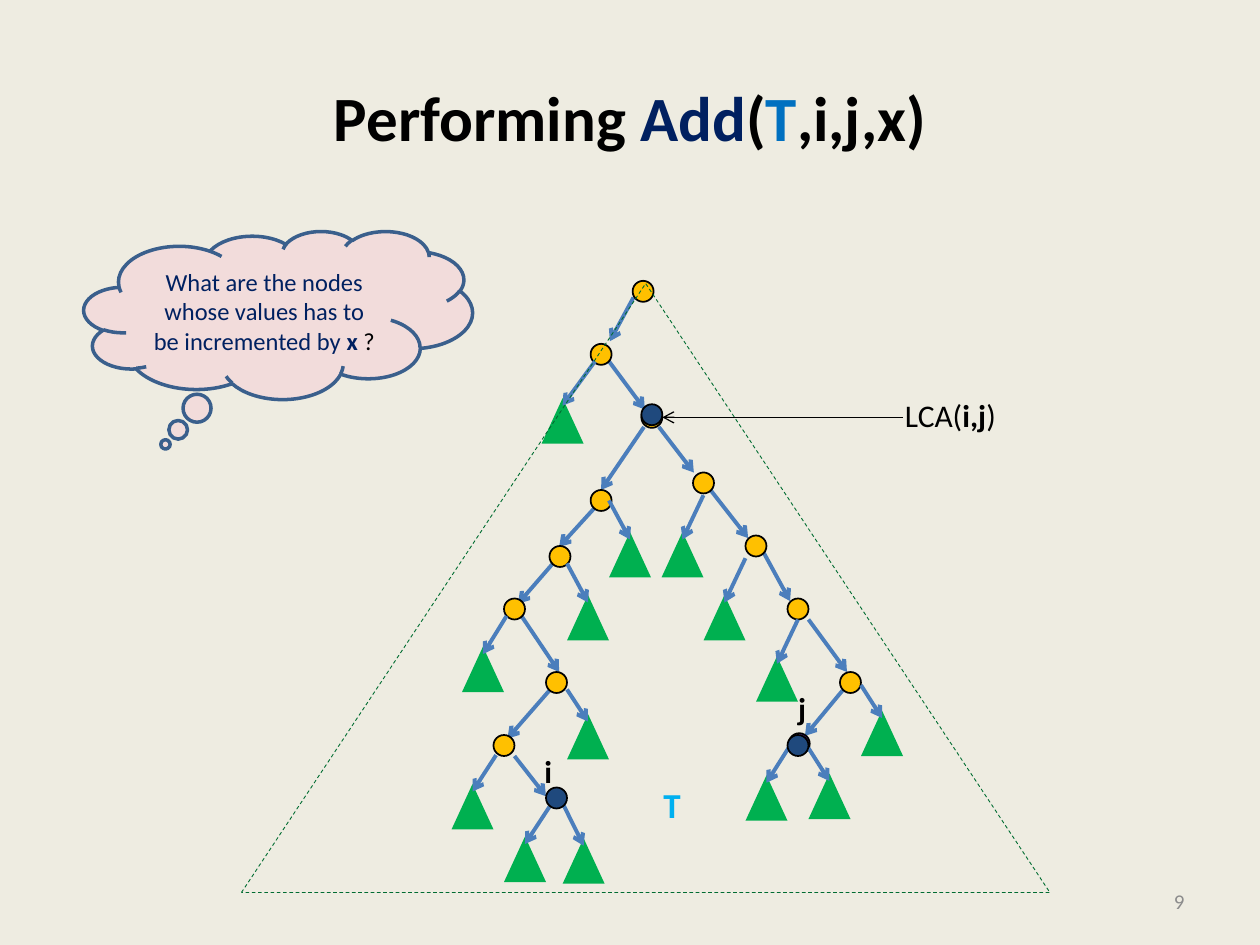
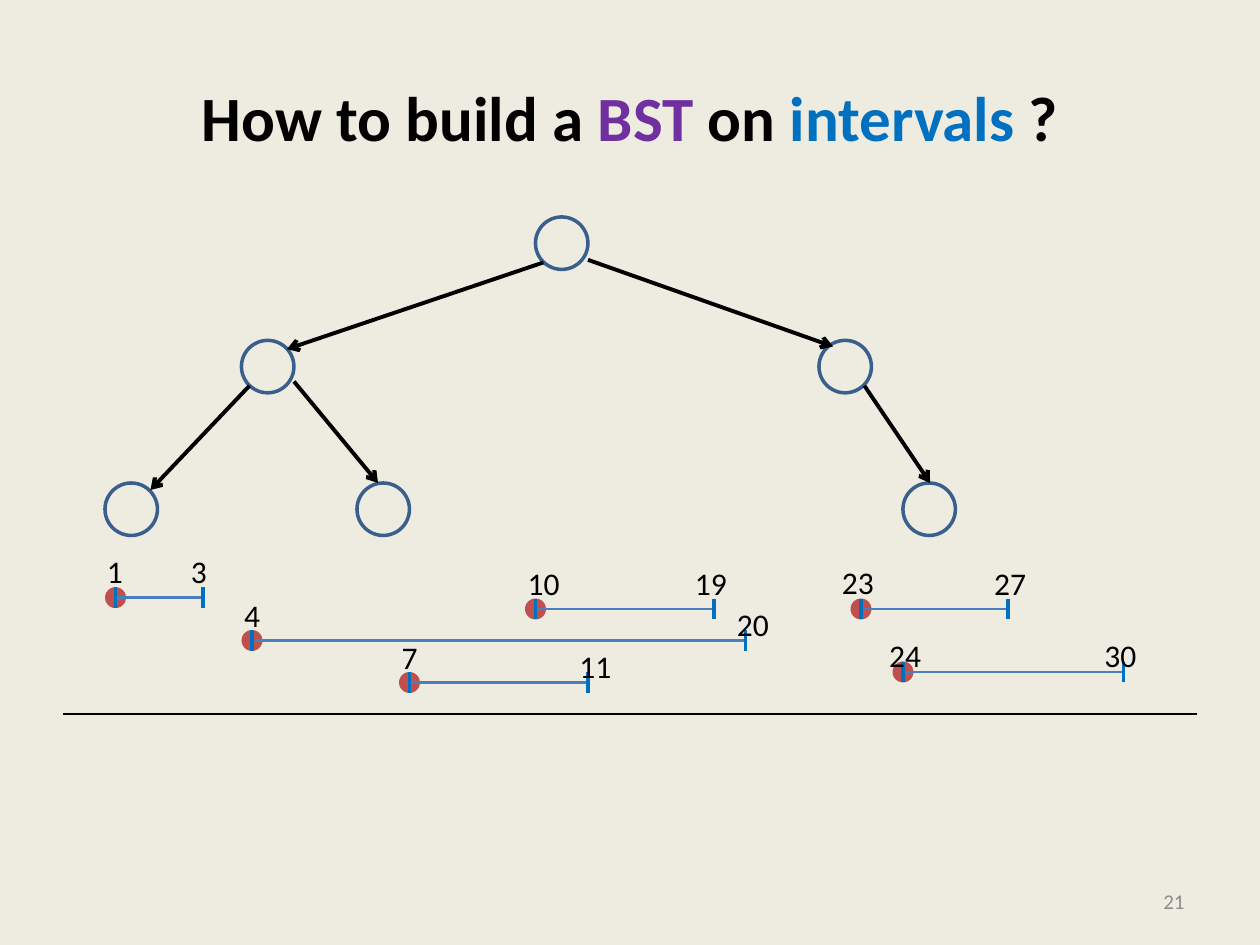
from lxml import etree
from pptx import Presentation
from pptx.dml.color import RGBColor
from pptx.enum.dml import MSO_LINE
from pptx.enum.shapes import MSO_CONNECTOR, MSO_SHAPE as Kind
from pptx.enum.text import MSO_ANCHOR as Anchor, PP_ALIGN as Align
from pptx.oxml.ns import qn
from pptx.util import Pt

COLORS = {
    "paper": "EEECE1", "black": "000000", "navy": "002060", "blue": "0070C0",
    "sky": "00B0F0", "purple": "7030A0", "gray": "8C8C8C", "steel": "4B7EBC",
    "outline": "3A5F8C", "amber": "FFC000", "green": "00B050",
    "forest": "006C31", "marked": "1F497D", "blush": "F2DCDB", "red": "C0504D",
}
FONT = "Calibri"
TITLE_ONLY = 5


def rgb(name):
    return RGBColor.from_string(COLORS[name])


class Deck:
    def __init__(self):
        self.prs = Presentation()
        self.prs.slide_width, self.prs.slide_height = Pt(720), Pt(540)
        backdrop = self.prs.slide_master.background.fill
        backdrop.solid()
        backdrop.fore_color.rgb = rgb("paper")
        self.slide = None

    def set_words(self, frame, parts, size, align=Align.LEFT, anchor=Anchor.TOP):
        """Fill a frame with one paragraph of (text, colour, bold) parts."""
        frame.vertical_anchor = anchor
        line = frame.paragraphs[0]
        line.alignment = align
        for words, color, bold in parts:
            run = line.add_run()
            run.text = words
            run.font.name, run.font.size, run.font.bold = FONT, Pt(size), bold
            run.font.color.rgb = rgb(color)

    def new_slide(self, number, title):
        self.slide = self.prs.slides.add_slide(self.prs.slide_layouts[TITLE_ONLY])
        heading = self.slide.shapes.title
        heading.left, heading.top = Pt(36), Pt(21.5)
        heading.width, heading.height = Pt(648), Pt(90)
        self.set_words(heading.text_frame, [(words, color, True) for words, color in title],
                       36, Align.CENTER, Anchor.MIDDLE)
        self.label(516, 500.5, 168, 28.75, [(number, "gray", False)], 12,
                   Align.RIGHT, Anchor.MIDDLE)

    def label(self, left, top, width, height, parts, size=18,
              align=Align.LEFT, anchor=Anchor.TOP):
        box = self.slide.shapes.add_textbox(Pt(left), Pt(top), Pt(width), Pt(height))
        box.text_frame.word_wrap = align != Align.LEFT
        self.set_words(box.text_frame, parts, size, align, anchor)

    def shape(self, kind, left, top, width, height, fill=None, line=None, weight=1):
        shape = self.slide.shapes.add_shape(kind, Pt(left), Pt(top), Pt(width), Pt(height))
        shape.shadow.inherit = False
        if fill:
            shape.fill.solid()
            shape.fill.fore_color.rgb = rgb(fill)
        else:
            shape.fill.background()
        if line:
            shape.line.color.rgb = rgb(line)
            shape.line.width = Pt(weight)
        else:
            shape.line.fill.background()
        return shape

    def circle(self, x, y, radius, fill, line=None, weight=1):
        self.shape(Kind.OVAL, x - radius, y - radius, 2 * radius, 2 * radius,
                   fill, line, weight)

    def line(self, x1, y1, x2, y2, color, weight=2.25, arrow=False):
        link = self.slide.shapes.add_connector(
            MSO_CONNECTOR.STRAIGHT, Pt(x1), Pt(y1), Pt(x2), Pt(y2))
        link.line.color.rgb = rgb(color)
        link.line.width = Pt(weight)
        properties = link._element.spPr
        if arrow:
            etree.SubElement(properties.get_or_add_ln(), qn("a:tailEnd"), type="arrow")
        etree.SubElement(properties, qn("a:effectLst"))

    def subtree(self, x, y, apex_x, apex_y):
        """Green triangle hanging from an arrow that starts at x, y."""
        self.shape(Kind.ISOSCELES_TRIANGLE, apex_x - 12, apex_y, 24, 26, "green")
        self.line(x, y, apex_x, apex_y + 4.3, "steel", arrow=True)

    def interval(self, start, end, y, low, high):
        """Segment with end ticks; low and high are (number, left, top)."""
        self.circle(start, y, 6, "red")
        self.line(start, y, end, y, "steel", 1.5)
        for x in (end, start):
            self.line(x, y - 6, x, y + 6, "blue")
        for number, left, top in (low, high):
            self.label(left, top, 14.5 + 9.25 * len(number), 29,
                       [(number, "black", False)])


def add_operation_slide(deck):
    deck.new_slide("9", [("Performing ", "black"), ("Add", "navy"), ("(", "black"),
                         ("T", "blue"), (",i,j,x)", "black")])
    deck.label(372, 444, 24.5, 31.5, [("T", "sky", True)], 20)

    branches = [
        (362, 170, 348.5, 195), (348, 206.5, 368.5, 234),
        (368, 244, 343.5, 280), (340, 290, 319.5, 312.5),
        (315.5, 322.5, 296, 345), (298, 352, 319.5, 384),
        (314, 394.5, 290, 422), (294, 432, 312, 455),
        (376.5, 244, 396.5, 270), (406, 280, 427.5, 307.5),
        (436.5, 316, 451.5, 343.5), (462, 354, 484, 384),
        (481.5, 394.5, 460, 420.5),
    ]
    for branch in branches:
        deck.line(*branch, "steel", arrow=True)

    nodes = [
        (367.5, 166.5), (343.5, 202.5), (372.5, 238.5), (343.5, 286), (320, 318),
        (294, 348), (318, 390), (288, 426),
        (402, 276), (432, 312), (456, 348), (486, 390),
    ]
    for x, y in nodes:
        deck.circle(x, y, 6, "amber", "black")
    deck.circle(456.7, 425, 6, "purple", "black")

    subtrees = [
        (340, 206.5, 321.5, 227.5), (402, 283, 390, 304), (426, 319, 414, 340),
        (456, 354, 444, 375), (289.5, 352, 276, 369.5), (348, 286, 360, 304),
        (324, 322, 336, 340), (324, 394, 336, 408), (322, 460, 333.5, 479),
        (314, 461, 300, 478), (492, 391.5, 504, 406), (462, 427.5, 474, 442),
        (283.5, 431.5, 270, 448), (451.5, 426, 438, 443),
    ]
    for subtree in subtrees:
        deck.subtree(*subtree)

    for name, left, top in (("j", 449, 390), ("i", 304, 426)):
        deck.label(left, top, 19, 29, [(name, "black", True)])
    whole_tree = deck.shape(Kind.ISOSCELES_TRIANGLE, 138, 162, 462, 348,
                            line="forest", weight=0.5)
    whole_tree.line.dash_style = MSO_LINE.DASH
    deck.line(516, 238.5, 378.5, 238.5, "black", 0.75, arrow=True)
    deck.label(510, 223, 67, 29, [("LCA(", "black", False), ("i,j", "black", True),
                                  (")", "black", False)])
    for x, y in ((372.5, 237), (318, 456), (456, 426)):
        deck.circle(x, y, 6, "marked", "black")

    thought = deck.shape(Kind.CLOUD_CALLOUT, 48, 132, 222, 96, "blush", "outline", 2)
    thought.adjustments[0], thought.adjustments[1] = -0.29, 0.77
    deck.set_words(thought.text_frame,
                   [("What are the nodes whose values has to be incremented by ", "navy", False),
                    ("x ", "navy", True), ("?", "black", False)],
                   14, Align.CENTER, Anchor.MIDDLE)


def intervals_slide(deck):
    deck.new_slide("21", [("How to build a ", "black"), ("BST", "purple"),
                          (" on ", "black"), ("intervals", "blue"), (" ?", "black")])
    deck.line(36, 408, 684, 408, "black", 0.75)

    for x, y in ((75, 291), (219, 291), (531, 291), (483, 209.5), (153, 209.5), (321, 139)):
        deck.circle(x, y, 15, "paper", "outline", 2)
    branches = [
        (142.5, 220.5, 86, 280), (310.5, 150, 164, 199.5), (336, 148.5, 476, 198),
        (494, 220.5, 531.5, 276), (168, 218, 216, 276),
    ]
    for branch in branches:
        deck.line(*branch, "black", arrow=True)

    intervals = [
        (66, 116, 341.5, ("1", 54, 312), ("3", 102, 312)),
        (306, 408, 348, ("10", 294.5, 319), ("19", 390, 319)),
        (492, 576, 348, ("23", 474, 318), ("27", 561, 319)),
        (516, 642, 384, ("24", 501, 360), ("30", 624, 360)),
        (234, 336, 390, ("7", 222.5, 361), ("11", 324, 366)),
        (144, 426, 366, ("4", 132.5, 337), ("20", 414, 342)),
    ]
    for interval in intervals:
        deck.interval(*interval)


def main():
    deck = Deck()
    add_operation_slide(deck)
    intervals_slide(deck)
    deck.prs.save("out.pptx")


if __name__ == "__main__":
    main()
